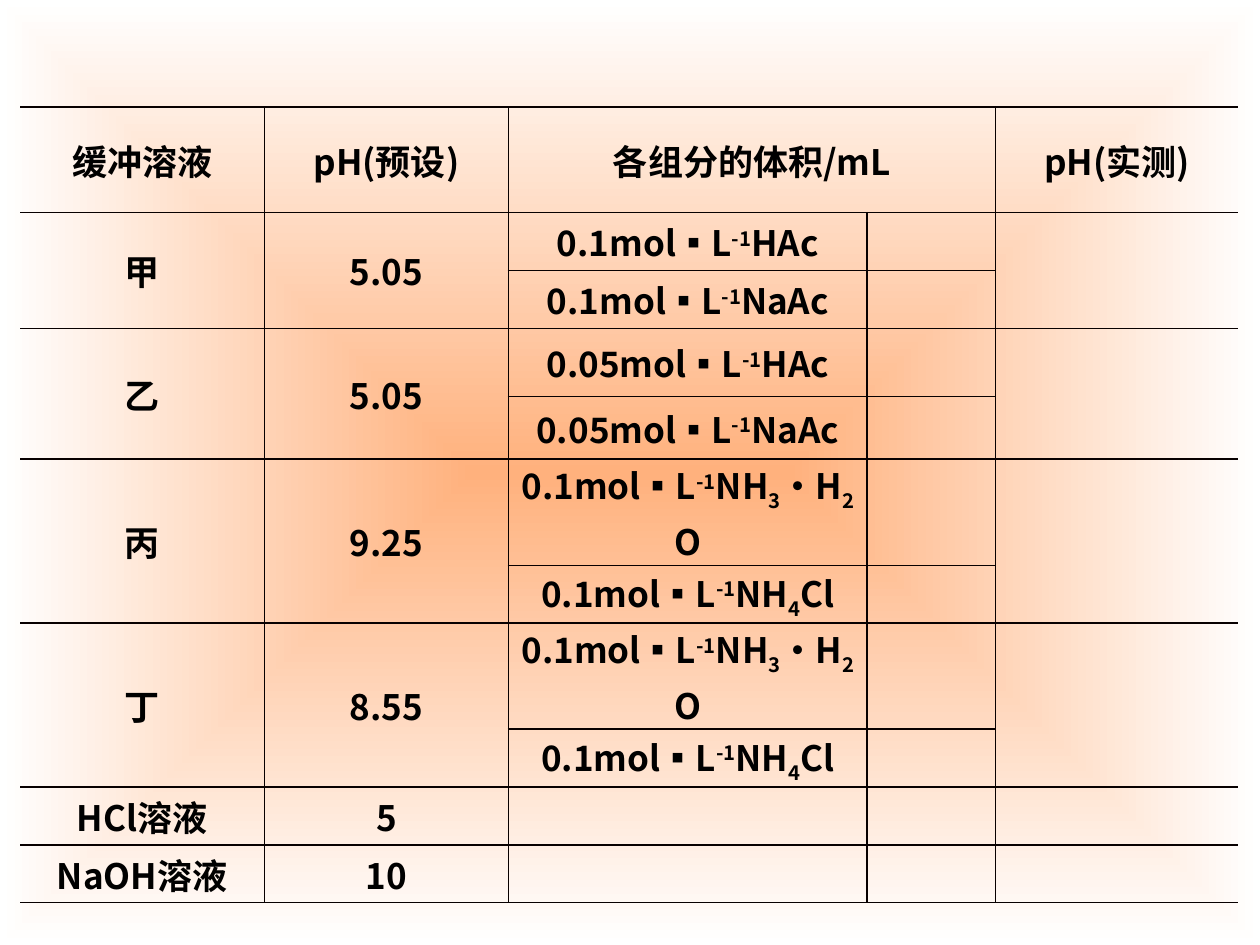
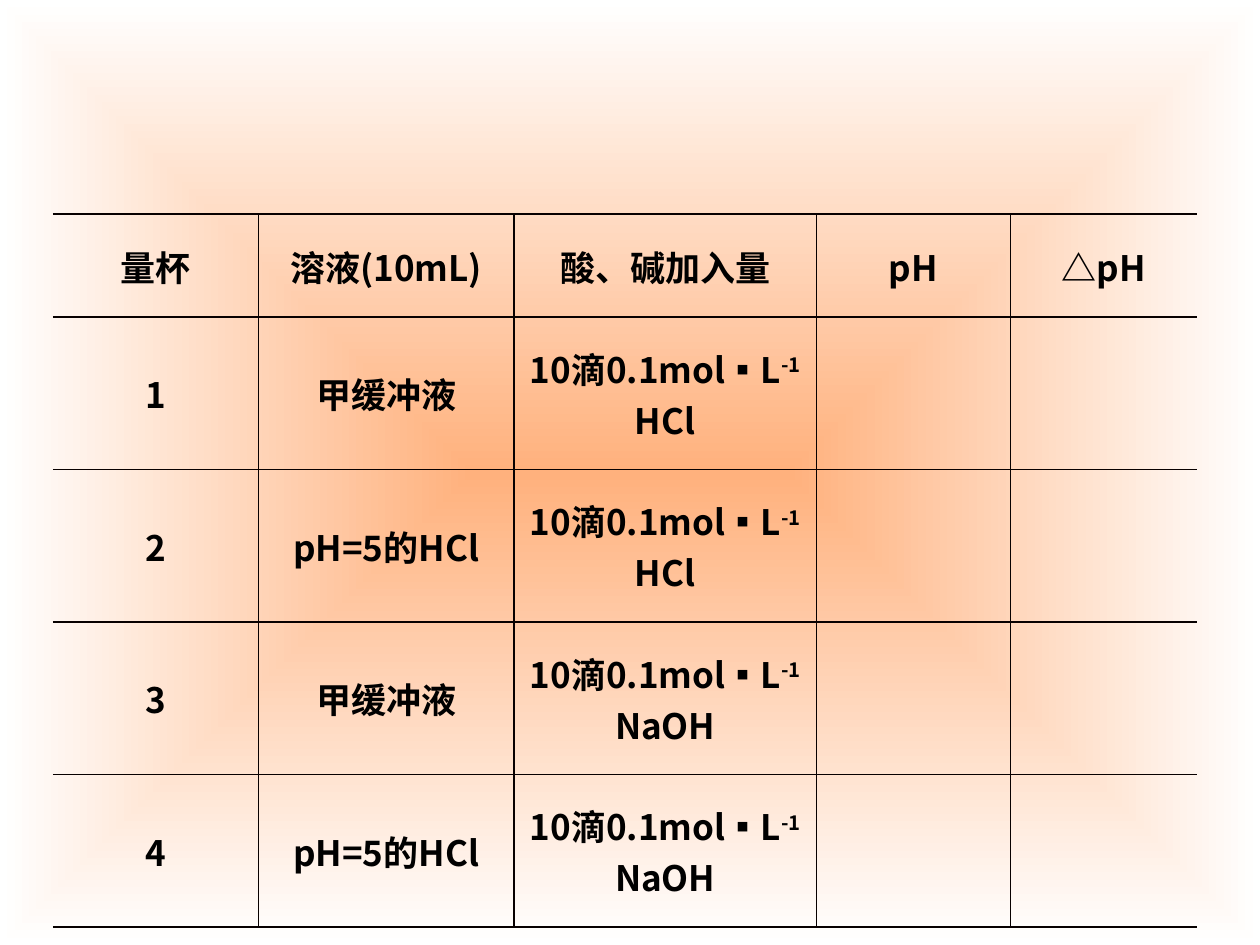
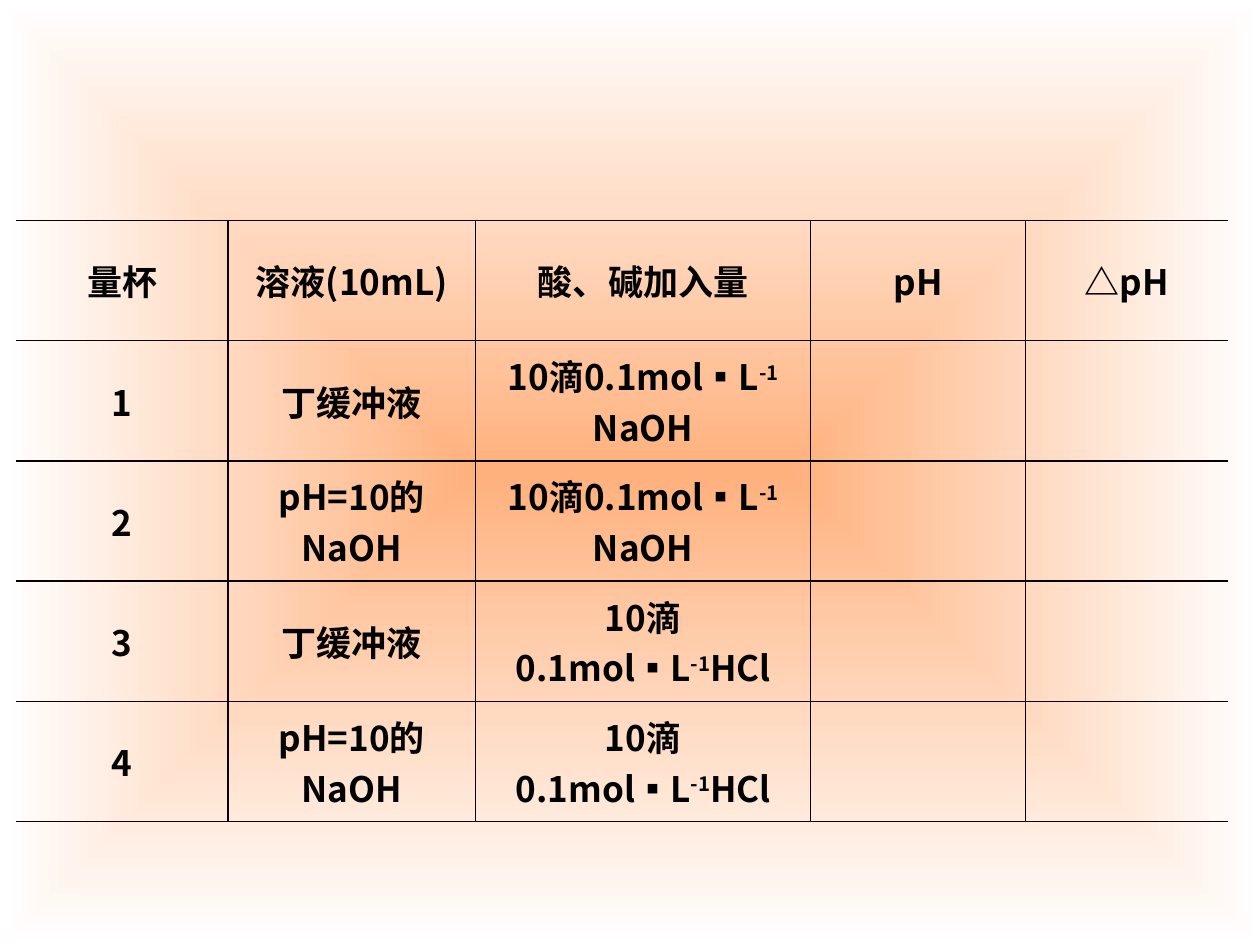
from lxml.etree import SubElement
from pptx import Presentation
from pptx.dml.color import RGBColor
from pptx.enum.text import MSO_ANCHOR, PP_ALIGN
from pptx.oxml.ns import qn
from pptx.util import Inches, Pt

FONT = "Noto Sans CJK SC"
GLOW = RGBColor(0xFF, 0xB1, 0x7D)
WHITE = RGBColor(0xFF, 0xFF, 0xFF)
INK = RGBColor(0, 0, 0)
RULE = RGBColor(0x08, 0, 0)
NO_STYLE = "{2D5ABB26-0587-4C30-8999-92F81FD0307C}"
BASELINES = {"^": "30000", "_": "-25000"}


def set_background(master):
    """Glow from the centre of every slide to white edges."""
    fill = master.background.fill
    fill.gradient()
    for stop, color in zip(fill.gradient_stops, (GLOW, WHITE)):
        stop.color.rgb = color
    grad = master.element.find(".//" + qn("a:gradFill"))
    grad.remove(grad.find(qn("a:lin")))
    shade = SubElement(grad, qn("a:path"), path="shape")
    SubElement(shade, qn("a:fillToRect"), {side: "50000" for side in "ltrb"})


def write(cell, text, size=20, bold=True, color=INK):
    """Pieces are split by |; a piece led by ^ is raised, by _ lowered."""
    tf = cell.text_frame
    for i, line in enumerate(text.split("\n")):
        p = tf.add_paragraph() if i else tf.paragraphs[0]
        p.alignment = PP_ALIGN.CENTER
        for piece in line.split("|"):
            r = p.add_run()
            r.text = piece.lstrip("^_")
            r.font.size, r.font.bold, r.font.name = Pt(size), bold, FONT
            r.font.color.rgb = color
            rPr = r.font._element
            SubElement(rPr, qn("a:ea"), typeface=FONT)
            if piece[0] in BASELINES:
                rPr.set("baseline", BASELINES[piece[0]])


def rule_cell(cell, sides):
    tcPr = cell._tc.get_or_add_tcPr()
    for side in "LRTB":
        ln = SubElement(tcPr, qn("a:ln" + side), w=str(Pt(1)))
        if side in sides:
            solid = SubElement(ln, qn("a:solidFill"))
            SubElement(solid, qn("a:srgbClr"), val=str(RULE))
        else:
            SubElement(ln, qn("a:noFill"))
    cell.fill.background()


def add_grid(s, box, cols, rows, texts, merges=()):
    """Table open at its left and right; cols and rows are shares of the box."""
    left, top, width, height = (Inches(v) for v in box)
    frame = s.shapes.add_table(len(rows), len(cols), left, top, width, height)
    table = frame.table
    table.first_row = table.horz_banding = False
    table._tbl.tblPr.find(qn("a:tableStyleId")).text = NO_STYLE
    for col, share in zip(table.columns, cols):
        col.width = int(width * share / sum(cols))
    for row, share in zip(table.rows, rows):
        row.height = int(height * share / sum(rows))

    # Rules and text
    for y, line in enumerate(texts):
        for x, text in enumerate(line):
            cell = table.cell(y, x)
            sides = "TB" + "L" * (x > 0) + "R" * (x < len(cols) - 1)
            rule_cell(cell, sides)
            cell.vertical_anchor = MSO_ANCHOR.MIDDLE
            cell.margin_left = cell.margin_right = Inches(0.07)
            cell.margin_top = cell.margin_bottom = 0
            if text:
                write(cell, text)
    for first, last in merges:
        table.cell(*first).merge(table.cell(*last))


def buffer_slide(s, box):
    """Recipes of the buffers, two components each."""
    ammonia = ("0.1mol▪L|^-1|NH|_3|·H|_2|O", "0.1mol▪L|^-1|NH|_4|Cl")
    buffers = [
        ("甲", "5.05", ("0.1mol▪L|^-1|HAc", "0.1mol▪L|^-1|NaAc")),
        ("乙", "5.05", ("0.05mol▪L|^-1|HAc", "0.05mol▪L|^-1|NaAc")),
        ("丙", "9.25", ammonia),
        ("丁", "8.55", ammonia),
    ]
    texts = [("缓冲溶液", "pH(预设)", "各组分的体积/mL", "", "pH(实测)")]
    merges = [((0, 2), (0, 3))]
    for name, ph, (acid, salt) in buffers:
        y = len(texts)
        texts += [(name, ph, acid, "", ""), ("", "", salt, "", "")]
        merges += [((y, x), (y + 1, x)) for x in (0, 1, 4)]
    texts += [("HCl溶液", "5", "", "", ""), ("NaOH溶液", "10", "", "", "")]
    rows = [0.84, 0.46, 0.46, 0.54, 0.5] + [0.46] * 6
    add_grid(s, box, (1.94, 1.94, 2.85, 1.02, 1.93), rows, texts, merges)


def dose_slide(s, box, cols, solutions, doses):
    """Four beakers: two solutions in turn, each dose given to a pair."""
    texts = [("量杯", "溶液(10mL)", "酸、碱加入量", "pH", "△pH")]
    for i in range(4):
        dose = "10滴0.1mol▪L|^-1" + doses[i // 2]
        texts.append((str(i + 1), solutions[i % 2], dose, "", ""))
    add_grid(s, box, cols, [1] * len(texts), texts)


def main():
    prs = Presentation()
    prs.slide_width, prs.slide_height = Inches(10), Inches(7.5)
    set_background(prs.slide_master)
    pages = [prs.slides.add_slide(prs.slide_layouts[6]) for _ in range(3)]

    buffer_slide(pages[0], (0.16, 0.85, 9.67, 5.55))
    dose_slide(pages[1], (0.42, 1.7, 9.08, 4.09),
               (1.63, 2.03, 2.4, 1.54, 1.48),
               ("甲缓冲液", "pH=5的HCl"), ("\nHCl", "\nNaOH"))
    dose_slide(pages[2], (0.13, 1.75, 9.62, 4.77),
               (1.68, 1.97, 2.66, 1.71, 1.61),
               ("丁缓冲液", "pH=10的NaOH"), ("\nNaOH", "|HCl"))
    prs.save("out.pptx")


if __name__ == "__main__":
    main()
